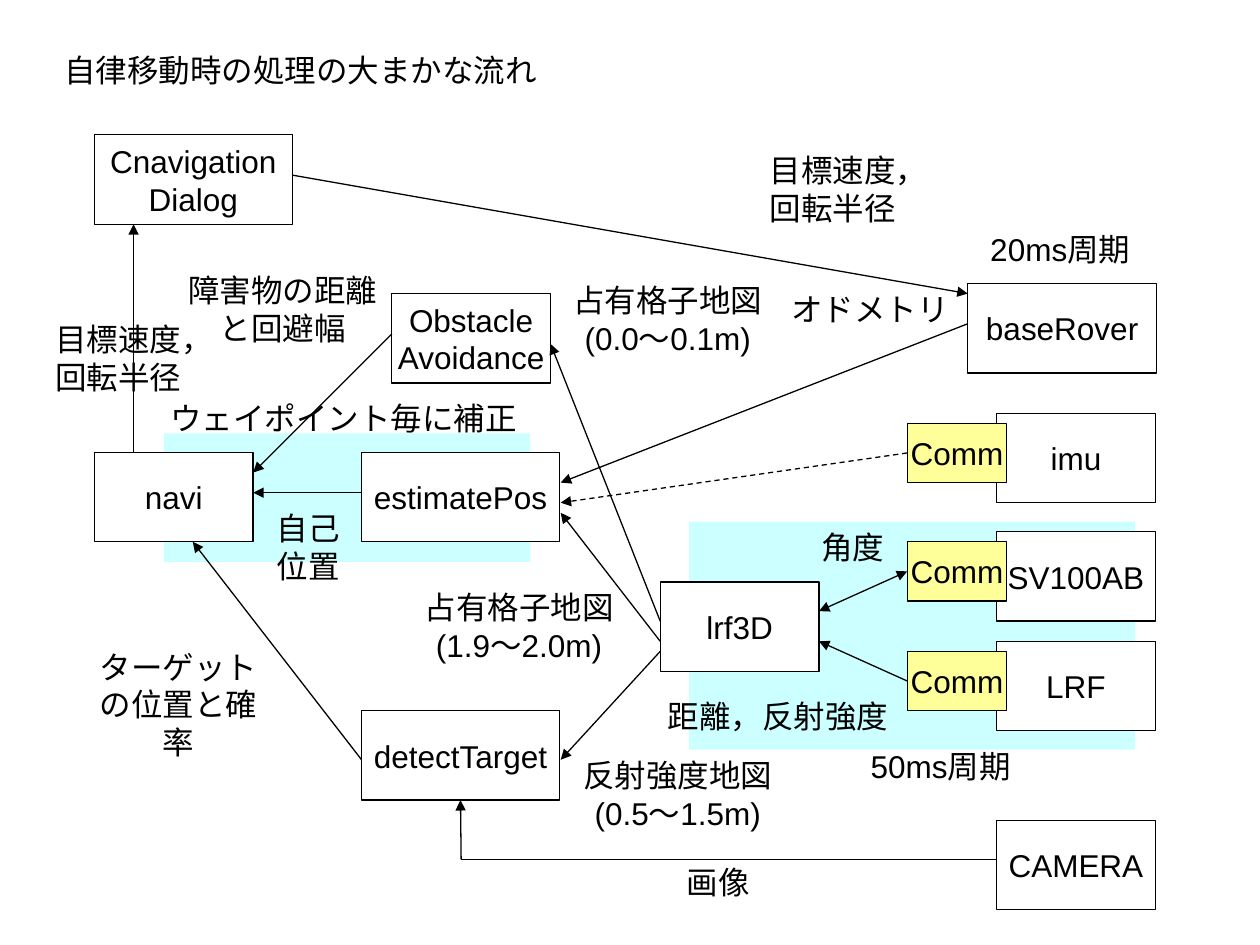
from dataclasses import dataclass
from typing import Optional

import lxml.etree
import pptx
import pptx.dml.color
import pptx.enum.dml
import pptx.enum.shapes
import pptx.enum.text
import pptx.oxml
import pptx.oxml.ns
import pptx.util

Inches = pptx.util.Inches
Pt = pptx.util.Pt
RGBColor = pptx.dml.color.RGBColor

BLACK = RGBColor(0x00, 0x00, 0x00)
WHITE = RGBColor(0xFF, 0xFF, 0xFF)
CYAN = RGBColor(0xCC, 0xFF, 0xFF)
YELLOW = RGBColor(0xFF, 0xFF, 0x99)
LEFT, BOTTOM = 1, 2
BOX_HEIGHT = 0.71
NARROW, WIDE = 1.26, 1.57
SENSOR_LEFT = 7.91
COMM_LEFT, COMM_DROP, COMM_WIDTH, COMM_HEIGHT = 7.2, 0.08, 0.79, 0.47


@dataclass(frozen=True)
class Module:
    text: str
    left: float
    top: float
    width: float = NARROW
    height: float = BOX_HEIGHT
    fill: Optional[RGBColor] = WHITE


@dataclass(frozen=True)
class Label:
    text: str
    left: float
    top: float
    width: float
    height: float = 0.4
    wrap: bool = False


@dataclass(frozen=True)
class Flow:
    start: tuple[float, float]
    end: tuple[float, float]
    source: str = ""
    target: str = ""
    arrow: bool = True
    both_ways: bool = False
    dashed: bool = False


ZONES = [(1.3, 3.44, 2.91, 1.02), (5.47, 4.14, 3.54, 1.81)]

MODULES = {
    "avoidance": Module("Obstacle\nAvoidance", 3.11, 2.33, fill=None),
    "rover": Module("baseRover", 7.68, 2.25, 1.5, fill=None),
    "position": Module("estimatePos", 2.87, 3.59, WIDE),
    "scanner": Module("lrf3D", 5.24, 4.62),
    "dialog": Module("Cnavigation\nDialog", 0.75, 1.07, WIDE, fill=None),
    "navi": Module("navi", 0.75, 3.59),
    "target": Module("detectTarget", 2.87, 5.64, WIDE),
    "camera": Module("CAMERA", SENSOR_LEFT, 6.51),
    "imu": Module("imu", SENSOR_LEFT, 3.28, fill=None),
    "servo": Module("SV100AB", SENSOR_LEFT, 4.22),
    "range": Module("LRF", SENSOR_LEFT, 5.09),
}
for sensor in ("imu", "servo", "range"):
    MODULES[f"{sensor} comm"] = Module(
        "Comm", COMM_LEFT, MODULES[sensor].top + COMM_DROP, COMM_WIDTH, COMM_HEIGHT, YELLOW
    )

FLOWS = [
    Flow((7.2, 4.54), (6.5, 4.85), source="servo comm", both_ways=True),
    Flow((7.2, 5.4), (6.5, 5.09), source="range comm"),
    Flow((7.2, 3.59), (4.45, 3.99), source="imu comm", dashed=True),
    Flow((5.24, 5.09), (4.45, 4.07)),
    Flow((7.68, 2.57), (4.45, 3.83)),
    Flow((5.24, 4.93), (4.37, 2.73)),
    Flow((2.87, 3.91), (2.01, 3.91)),
    Flow((1.06, 3.59), (1.06, 1.78)),
    Flow((2.32, 1.39), (7.68, 2.33)),
    Flow((3.11, 2.65), (2.01, 3.75)),
    Flow((5.24, 5.17), (4.45, 6.03)),
    Flow((7.91, 6.82), (3.66, 6.82), arrow=False),
    Flow((3.66, 6.82), (3.66, 6.35), target="target"),
    Flow((2.87, 6.03), (1.53, 4.3)),
]

LABELS = [
    Label("自律移動時の処理の大まかな流れ", 0.41, 0.36, 3.95),
    Label("50ms周期", 6.78, 5.88, 1.37),
    Label("20ms周期", 7.73, 1.78, 1.37),
    Label("角度", 6.42, 4.14, 0.7),
    Label("距離，反射強度", 5.2, 5.48, 1.95),
    Label("オドメトリ", 6.18, 2.25, 1.45),
    Label("占有格子地図\n(1.9～2.0m)", 3.27, 4.62, 1.7, 0.7),
    Label("占有格子地図\n(0.0～0.1m)", 4.45, 2.18, 1.7, 0.7),
    Label("反射強度地図\n(0.5～1.5m)", 4.53, 5.95, 1.7, 0.7),
    Label("ウェイポイント毎に補正", 1.25, 3.12, 2.95),
    Label("画像", 5.35, 6.8, 0.7),
    Label("自己位置", 2.09, 3.99, 0.71, 0.7, wrap=True),
    Label("目標速度，回転半径", 0.27, 2.49, 1.34, 0.7, wrap=True),
    Label("目標速度，回転半径", 5.94, 1.15, 1.34, 0.7, wrap=True),
    Label("障害物の距離と回避幅", 1.38, 2.1, 1.73, 0.7, wrap=True),
    Label("ターゲットの位置と確率", 0.59, 5.09, 1.65, 1, wrap=True),
]


def write_text(box, text: str, *, wrap: bool = False, size: float = 18, font: str = "Arial",
               color: RGBColor = BLACK, anchor=pptx.enum.text.MSO_ANCHOR.TOP) -> None:
    frame = box.text_frame
    frame.word_wrap = wrap
    frame.vertical_anchor = anchor
    for index, line in enumerate(text.split("\n")):
        para = frame.add_paragraph() if index else frame.paragraphs[0]
        para.alignment = pptx.enum.text.PP_ALIGN.CENTER
        span = para.add_run()
        span.text = line
        span.font.size = Pt(size)
        span.font.name = font
        span.font.color.rgb = color


def draw_rectangle(page, left: float, top: float, width: float, height: float,
                   fill: Optional[RGBColor], outlined: bool):
    box = page.shapes.add_shape(
        pptx.enum.shapes.MSO_SHAPE.RECTANGLE,
        Inches(left), Inches(top), Inches(width), Inches(height),
    )
    box.shadow.inherit = False
    if fill is None:
        box.fill.background()
    else:
        box.fill.solid()
        box.fill.fore_color.rgb = fill
    if outlined:
        box.line.color.rgb = BLACK
        box.line.width = Pt(0.75)
    else:
        box.line.fill.background()
    return box


def draw_module(page, module: Module):
    box = draw_rectangle(page, module.left, module.top, module.width, module.height,
                         module.fill, outlined=True)
    write_text(box, module.text, anchor=pptx.enum.text.MSO_ANCHOR.MIDDLE)
    return box


def draw_flow(page, flow: Flow, boxes: dict) -> None:
    connector = page.shapes.add_connector(
        pptx.enum.shapes.MSO_CONNECTOR.STRAIGHT,
        *(Inches(value) for value in flow.start + flow.end),
    )
    if flow.source:
        connector.begin_connect(boxes[flow.source], LEFT)
    if flow.target:
        connector.end_connect(boxes[flow.target], BOTTOM)
    connector.line.color.rgb = BLACK
    connector.line.width = Pt(0.75)
    if flow.dashed:
        connector.line.dash_style = pptx.enum.dml.MSO_LINE.DASH
    properties = connector._element.spPr
    outline = properties.find(pptx.oxml.ns.qn("a:ln"))
    for tag, shown in (("a:headEnd", flow.both_ways), ("a:tailEnd", flow.arrow)):
        if shown:
            lxml.etree.SubElement(outline, pptx.oxml.ns.qn(tag), type="triangle")
    lxml.etree.SubElement(properties, pptx.oxml.ns.qn("a:effectLst"))


def draw_label(page, label: Label) -> None:
    box = page.shapes.add_textbox(
        Inches(label.left), Inches(label.top), Inches(label.width), Inches(label.height)
    )
    write_text(box, label.text, wrap=label.wrap)


def main() -> None:
    deck = pptx.Presentation()
    deck.slide_width, deck.slide_height = Inches(10), Inches(7.5)
    page = deck.slides.add_slide(deck.slide_layouts[6])
    for zone in ZONES:
        draw_rectangle(page, *zone, fill=CYAN, outlined=False)
    boxes = {name: draw_module(page, module) for name, module in MODULES.items()}
    for flow in FLOWS:
        draw_flow(page, flow, boxes)
    for label in LABELS:
        draw_label(page, label)
    deck.save("out.pptx")


if __name__ == "__main__":
    main()
